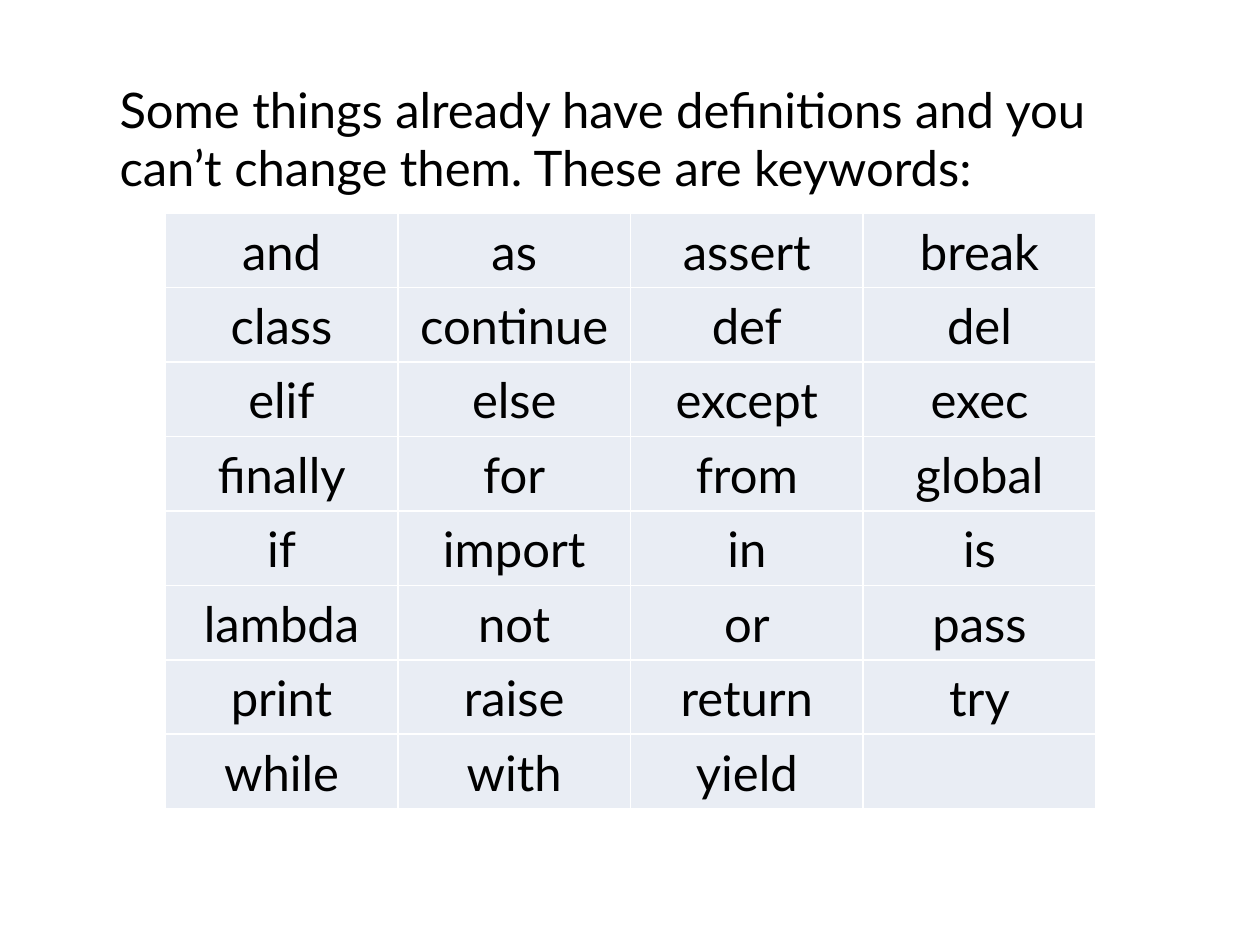
from lxml import etree
from pptx import Presentation
from pptx.dml.color import RGBColor
from pptx.enum.text import MSO_ANCHOR, PP_ALIGN
from pptx.oxml.ns import qn
from pptx.util import Cm, Pt

MIDDLE = MSO_ANCHOR.MIDDLE
CENTER = PP_ALIGN.CENTER

# Content
INTRO = "Some things already have definitions and you can’t change them. These are keywords:"
KEYWORDS = [
    ("and", "as", "assert", "break"),
    ("class", "continue", "def", "del"),
    ("elif", "else", "except", "exec"),
    ("finally", "for", "from", "global"),
    ("if", "import", "in", "is"),
    ("lambda", "not", "or", "pass"),
    ("print", "raise", "return", "try"),
    ("while", "with", "yield", ""),
]

# Style
COLORS = {"text": "000000", "cell": "E9EDF4", "border": "FFFFFF"}
FONT = "Lato"
TEXT_SIZE = Pt(28)
BORDER_WIDTH = Pt(1)
COLUMN_WIDTH, ROW_HEIGHT = Cm(4.69), Cm(1.5)
CELL_INSET = Cm(0.03)


def style_text(paragraph):
    for run in paragraph.runs:
        run.font.name = FONT
        run.font.size = TEXT_SIZE
        run.font.color.rgb = RGBColor.from_string(COLORS["text"])


def add_borders(cell):
    # Border lines come before the fill in the cell properties
    properties = cell._tc.get_or_add_tcPr()
    for position, side in enumerate(("a:lnL", "a:lnR", "a:lnT", "a:lnB")):
        line = etree.Element(qn(side), w=str(BORDER_WIDTH))
        fill = etree.SubElement(line, qn("a:solidFill"))
        etree.SubElement(fill, qn("a:srgbClr"), val=COLORS["border"])
        properties.insert(position, line)


def fill_cell(cell, keyword):
    cell.fill.solid()
    cell.fill.fore_color.rgb = RGBColor.from_string(COLORS["cell"])
    add_borders(cell)
    cell.vertical_anchor = MIDDLE
    cell.margin_left = cell.margin_right = cell.margin_top = CELL_INSET
    cell.margin_bottom = 0
    if keyword:
        cell.text_frame.text = keyword
        paragraph = cell.text_frame.paragraphs[0]
        paragraph.alignment = CENTER
        style_text(paragraph)


presentation = Presentation()
presentation.slide_width, presentation.slide_height = Cm(25.4), Cm(19.05)
slide = presentation.slides.add_slide(presentation.slide_layouts[6])

# Keyword table
row_count, column_count = len(KEYWORDS), len(KEYWORDS[0])
keyword_table = slide.shapes.add_table(
    row_count, column_count, Cm(3.33), Cm(4.3),
    COLUMN_WIDTH * column_count, ROW_HEIGHT * row_count,
).table
keyword_table.first_row = False
keyword_table.horz_banding = False
for row, keywords in zip(keyword_table.rows, KEYWORDS):
    for cell, keyword in zip(row.cells, keywords):
        fill_cell(cell, keyword)

# Introduction
intro = slide.shapes.add_textbox(Cm(2.16), Cm(1.47), Cm(21.03), Cm(2.64)).text_frame
intro.word_wrap = True
intro.text = INTRO
style_text(intro.paragraphs[0])

presentation.save("out.pptx")
